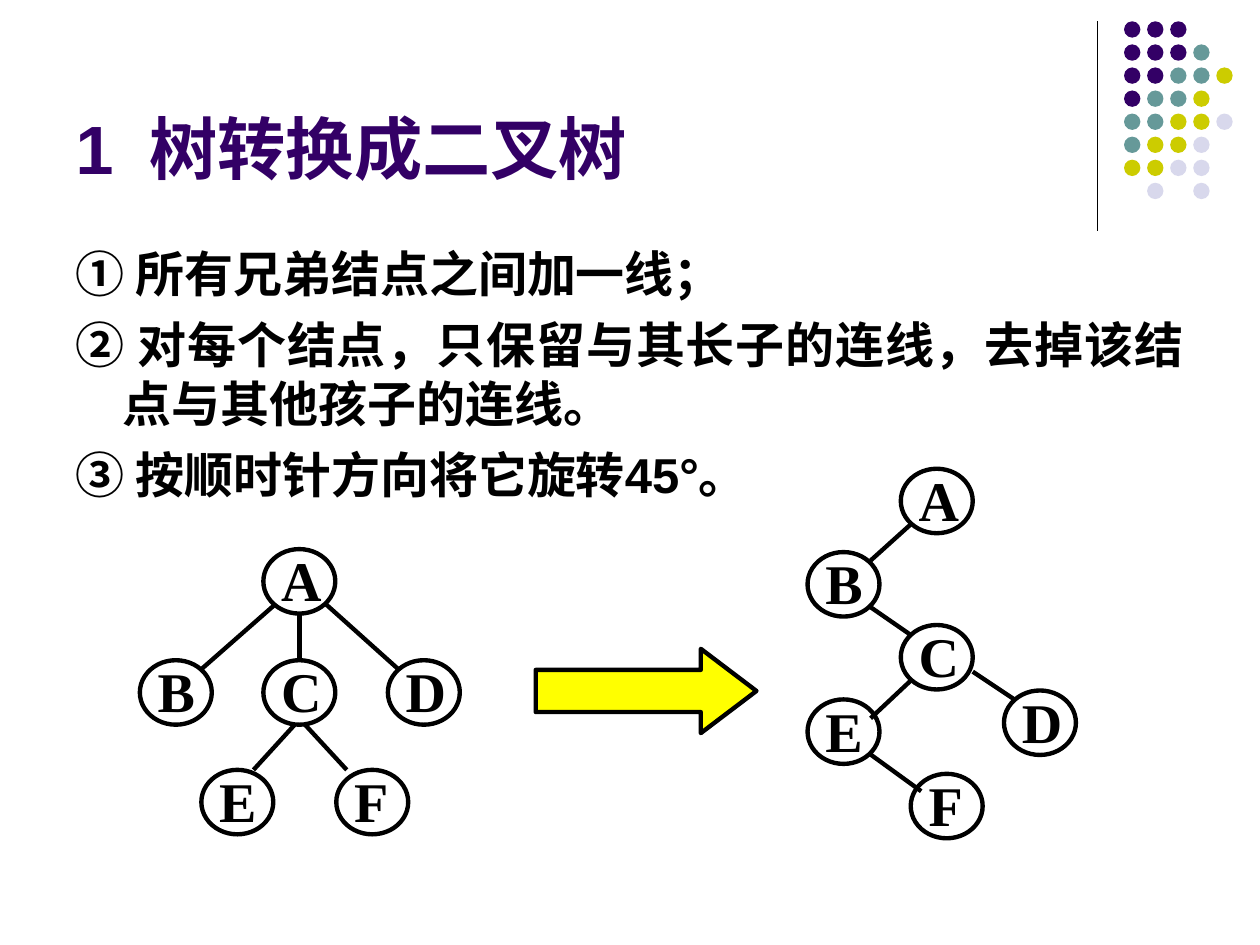
from lxml import etree
from pptx import Presentation
from pptx.dml.color import RGBColor
from pptx.enum.shapes import MSO_CONNECTOR, MSO_SHAPE
from pptx.enum.text import MSO_ANCHOR, MSO_AUTO_SIZE, PP_ALIGN
from pptx.oxml.ns import qn
from pptx.util import Cm, Pt

LINE = MSO_CONNECTOR.STRAIGHT
OVAL, ARROW = MSO_SHAPE.OVAL, MSO_SHAPE.RIGHT_ARROW
TOP, BOTTOM = MSO_ANCHOR.TOP, MSO_ANCHOR.BOTTOM
FIXED = MSO_AUTO_SIZE.NONE
LEFT, JUST = PP_ALIGN.LEFT, PP_ALIGN.JUSTIFY

BLACK = RGBColor(0, 0, 0)
PLUM = RGBColor(0x33, 0x00, 0x66)
TEAL = RGBColor(0x66, 0x99, 0x99)
OLIVE = RGBColor(0xCC, 0xCC, 0x00)
PALE = RGBColor(0xD8, 0xD8, 0xEC)
YELLOW = RGBColor(0xFF, 0xFF, 0x00)

TITLE = "1\t树转换成二叉树"
STEPS = [
    "① 所有兄弟结点之间加一线；",
    "② 对每个结点，只保留与其长子的连线，去掉该结点与其他孩子的连线。",
    "③ 按顺时针方向将它旋转45°。",
]
DOTS = ["PPP", "PPPT", "PPTTO", "PTTO", "TTOOL", "TOOL", "OOLL", " L L"]
TINTS = {"P": PLUM, "T": TEAL, "O": OLIVE, "L": PALE}
TREES = [
    {
        "nodes": {"A": (5.31, 11.07), "C": (5.31, 13.31), "B": (2.82, 13.31),
                  "F": (6.78, 15.52), "D": (7.82, 13.31), "E": (4.06, 15.52)},
        "edges": [(6.04, 12.37, 6.04, 13.31), (5.54, 12.19, 4.06, 13.49),
                  (6.58, 12.19, 8.03, 13.49), (5.94, 14.61, 5.11, 15.52),
                  (6.15, 14.61, 6.99, 15.52)],
    },
    {
        "nodes": {"A": (18.16, 9.45), "C": (18.16, 12.6), "B": (16.28, 11.13),
                  "F": (18.36, 15.6), "D": (20.24, 13.92), "E": (16.28, 14.1)},
        "edges": [(18.36, 10.57, 17.55, 11.3), (17.55, 12.24, 18.36, 12.8),
                  (18.36, 13.72, 17.55, 14.48), (17.55, 15.21, 18.57, 15.95),
                  (19.61, 13.54, 20.45, 14.1)],
    },
]
WIDE, HIGH = 1.45, 1.3
STEP, DOT = 0.465, 0.33

HEAD = {"name": "Arial", "size": Pt(39), "bold": True}
BODY = {"name": "Arial", "size": Pt(28), "bold": True}
NODE = {"name": "Times New Roman", "size": Pt(32), "bold": True}


def style(item, form):
    for key, val in form.items():
        setattr(item, key, val)


def place(item, *box):
    style(item, dict(zip(("left", "top", "width", "height"), map(Cm, box))))


def write(para, text, form, tint):
    run = para.add_run()
    run.text = text
    style(run.font, form)
    run.font.color.rgb = tint


def draw(home, kind, box, fill=None, edge=None):
    item = home.add_shape(kind, *map(Cm, box))
    item.shadow.inherit = False
    if fill is None:
        item.fill.background()
    else:
        item.fill.solid()
        item.fill.fore_color.rgb = fill
    if edge is None:
        item.line.fill.background()
    else:
        item.line.color.rgb = BLACK
        item.line.width = Pt(edge)
    return item


def rule(home, ends, width):
    item = home.add_connector(LINE, *map(Cm, ends))
    item.line.color.rgb = BLACK
    item.line.width = Pt(width)
    etree.SubElement(item._element.spPr, qn("a:effectLst"))


def label(home, text, x, y):
    box = home.add_textbox(Cm(x + 0.11), Cm(y - 0.19), Cm(WIDE), Cm(1.63))
    frame = box.text_frame
    frame.word_wrap = True
    write(frame.paragraphs[0], text, NODE, BLACK)


deck = Presentation()
style(deck, {"slide_width": Cm(25.4), "slide_height": Cm(19.05)})
slide = deck.slides.add_slide(deck.slide_layouts[1])
shapes = slide.shapes

rule(shapes, (22.12, 0.43, 22.12, 4.65), 0.75)
grid = shapes.add_group_shape().shapes
for row, line in enumerate(DOTS):
    for col, code in enumerate(line):
        if code in TINTS:
            draw(grid, OVAL, (22.66 + col * STEP, 0.43 + row * STEP, DOT, DOT), TINTS[code])

title, body = slide.placeholders
place(title, 1.27, 0.33, 20.96, 3.6)
style(title.text_frame, {"vertical_anchor": BOTTOM, "auto_size": FIXED, "word_wrap": True})
para = title.text_frame.paragraphs[0]
para.alignment = LEFT
tabs = etree.SubElement(para._p.get_or_add_pPr(), qn("a:tabLst"))
etree.SubElement(tabs, qn("a:tab"), pos=str(Cm(1.49)), algn="l")
write(para, TITLE, HEAD, PLUM)

place(body, 1.27, 4.78, 22.86, 12.24)
frame = body.text_frame
style(frame, {"vertical_anchor": TOP, "auto_size": FIXED, "word_wrap": True})
for num, text in enumerate(STEPS):
    para = frame.add_paragraph() if num else frame.paragraphs[0]
    style(para, {"alignment": JUST, "space_before": Pt(7 if num else 0)})
    props = para._p.get_or_add_pPr()
    props.set("marL", str(Cm(0.95)))
    props.set("indent", str(-Cm(0.95)))
    etree.SubElement(props, qn("a:buNone"))
    write(para, text, BODY, BLACK)

for tree in TREES:
    group = shapes.add_group_shape().shapes
    for name, (x, y) in tree["nodes"].items():
        draw(group, OVAL, (x, y, WIDE, HIGH), edge=2.5)
        label(group, name, x, y)
    for ends in tree["edges"]:
        rule(group, ends, 2.5)

arrow = draw(shapes, ARROW, (10.8, 13.08, 4.45, 1.7), YELLOW, 2.5)
arrow.adjustments[0] = 0.5
arrow.adjustments[1] = 0.66

deck.save("out.pptx")
